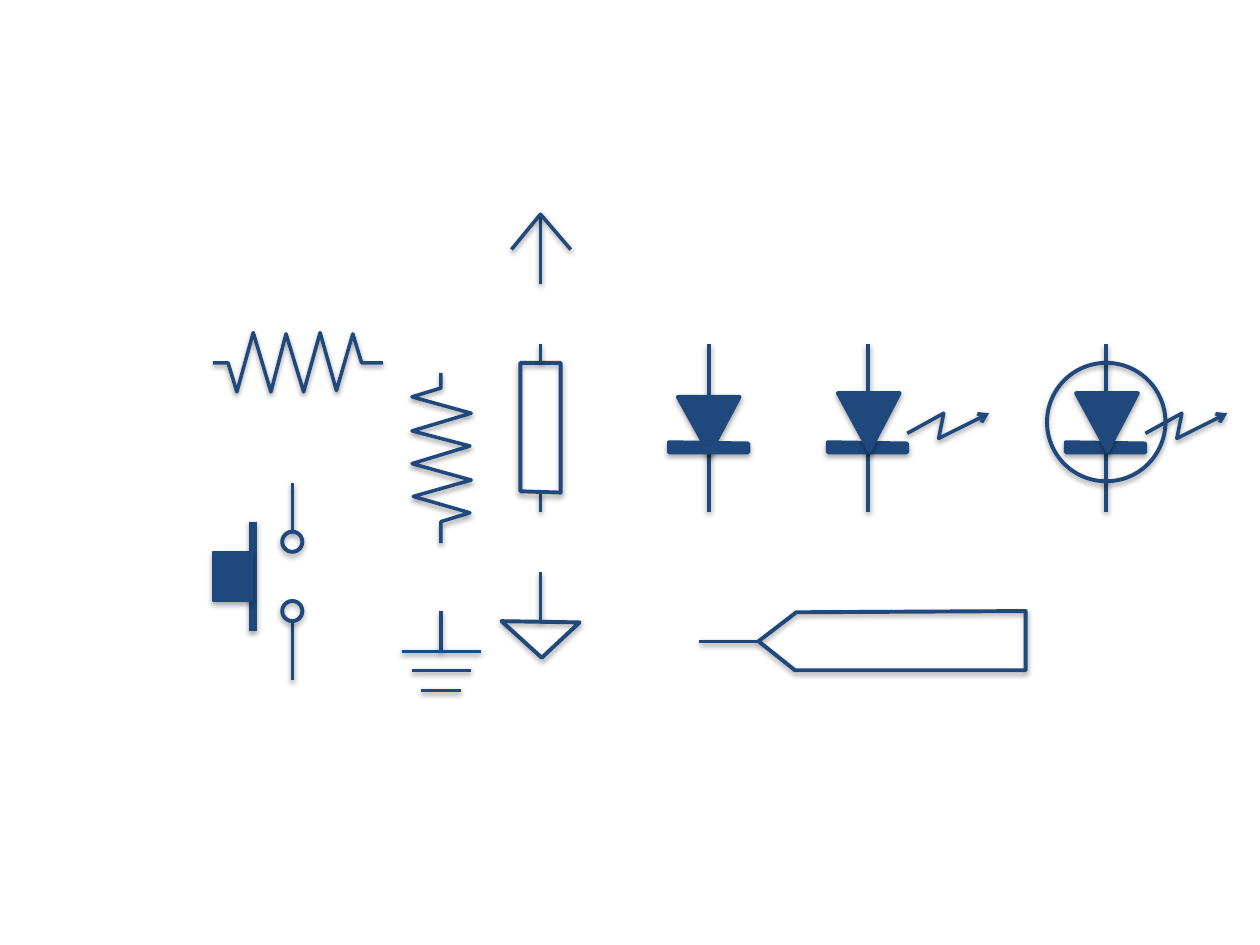
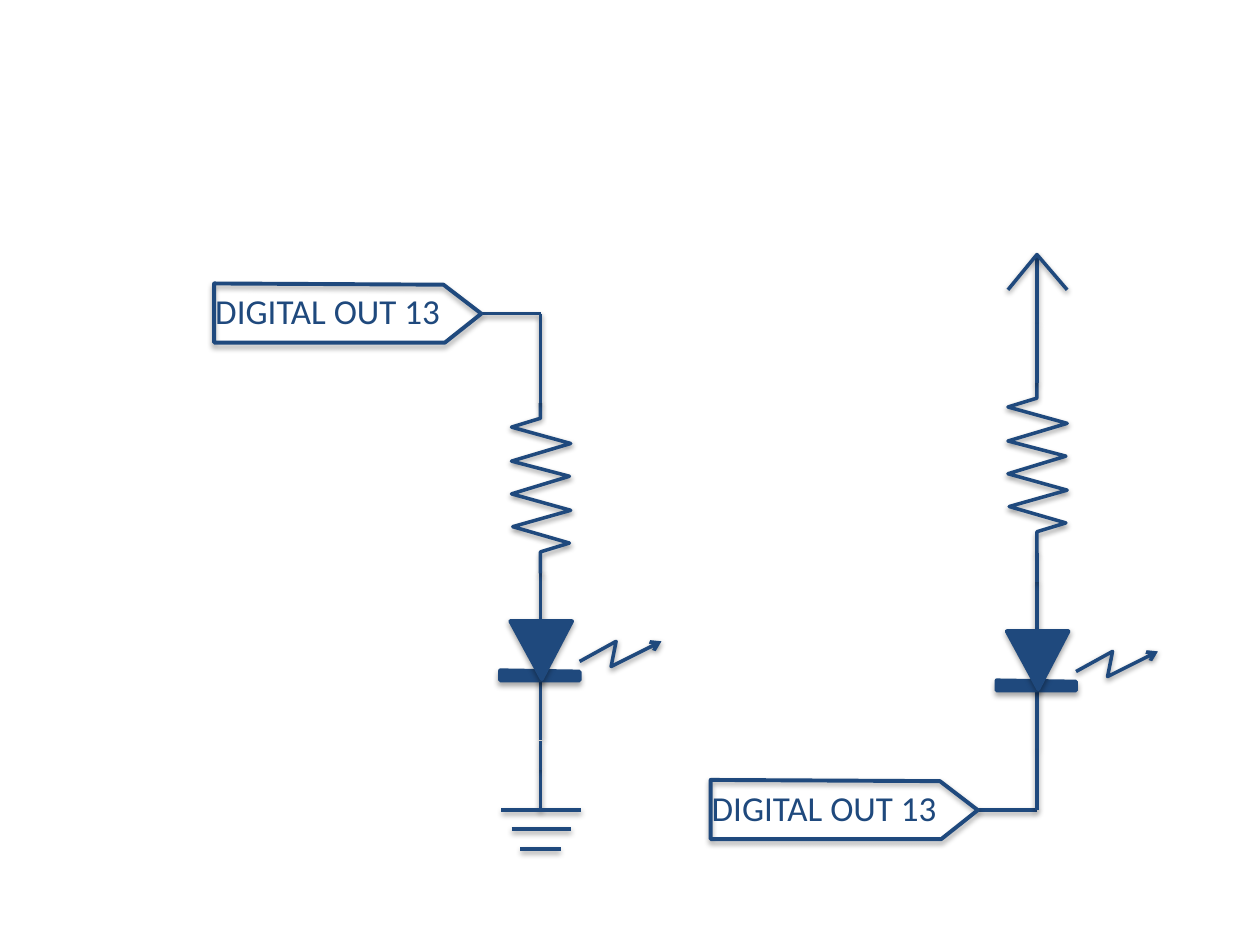
from dataclasses import dataclass
from lxml import etree
from pptx import Presentation
from pptx.dml.color import RGBColor
from pptx.enum.shapes import MSO_CONNECTOR, MSO_SHAPE
from pptx.enum.text import MSO_AUTO_SIZE
from pptx.oxml.ns import qn
from pptx.util import Pt

STRAIGHT = MSO_CONNECTOR.STRAIGHT
RECTANGLE = MSO_SHAPE.RECTANGLE
OVAL = MSO_SHAPE.OVAL
GROW = MSO_AUTO_SIZE.SHAPE_TO_FIT_TEXT
PX = 9144
PAGE_SIZE = (1000, 750)
BLANK_LAYOUT = 6


@dataclass(frozen=True)
class Theme:
    ink: str = "1F497D"
    shade: str = "000000"
    font: str = "Calibri"
    label_size: int = 20
    blur: int = 40000
    wire_shadow: tuple = (20000, 38000)
    body_shadow: tuple = (23000, 35000)


THEME = Theme()

STYLES = {
    "wire": (2, False, THEME.wire_shadow),
    "stem": (2.25, False, THEME.wire_shadow),
    "plunger": (4.5, False, THEME.wire_shadow),
    "ray": (2, False, THEME.wire_shadow),
    "outline": (2.25, False, THEME.body_shadow),
    "solid": (2.25, True, THEME.body_shadow),
    "ring": (2.25, False, THEME.body_shadow),
    "button": (0.75, True, THEME.body_shadow),
}
CLOSED = ("outline", "solid")
PRESETS = {"ring": OVAL, "button": RECTANGLE}

DIODE_STEM = ("stem", [(0, 0), (0, 133)])
DIODE_BAR = ("solid", [(-32, 78), (31, 79), (31, 86), (-32, 86)])
LED = [
    DIODE_STEM,
    DIODE_BAR,
    ("ray", [(31, 71), (60, 55), (56, 75), (96, 55)]),
    ("solid", [(-24, 39), (25, 39), (1, 85)]),
]

SYMBOLS = {
    "resistor": [("wire", [
        (0, 0), (0, 12), (-23, 19), (24, 32), (-23, 46), (23, 58),
        (-23, 72), (24, 85), (-22, 98), (23, 111), (0, 118), (0, 135)])],
    "box resistor": [
        ("wire", [(0, 118), (0, 133)]),
        ("outline", [(-16, 15), (-16, 117), (16, 118), (16, 15)]),
        ("wire", [(0, 0), (0, 15)]),
    ],
    "diode": [
        DIODE_STEM,
        ("solid", [(-25, 42), (24, 42), (0, 87)]),
        DIODE_BAR,
    ],
    "led": LED,
    "ringed led": LED + [("ring", [(-47, 15), (47, 109)])],
    "earth": [
        ("wire", [(0, 0), (0, 32)]),
        ("wire", [(-31, 32), (32, 32)]),
        ("wire", [(-23, 47), (24, 47)]),
        ("wire", [(-16, 63), (16, 63)]),
    ],
    "common": [
        ("wire", [(0, 0), (0, 39)]),
        ("outline", [(-31, 39), (31, 40), (1, 68)]),
    ],
    "supply": [
        ("wire", [(0, 0), (0, 55)]),
        ("wire", [(-23, 28), (0, 0), (24, 28)]),
    ],
    "tag": [
        ("wire", [(-47, 0), (0, 0)]),
        ("outline", [(212, 23), (212, -24), (30, -23), (0, 0), (29, 23)]),
    ],
    "switch": [
        ("wire", [(0, 110), (0, 157)]),
        ("wire", [(0, 0), (0, 39)]),
        ("plunger", [(-31, 31), (-31, 118)]),
        ("button", [(-63, 55), (-32, 94)]),
        ("ring", [(-8, 39), (8, 55)]),
        ("ring", [(-8, 94), (8, 110)]),
    ],
}

TAG_TEXT = "DIGITAL OUT 13"
TAG_TEXT_BOX = (-221, -24, 202, 44)

LIBRARY = [
    ("resistor", 350, 296, "upright"),
    ("box resistor", 429, 273, "upright"),
    ("diode", 563, 273, "upright"),
    ("led", 689, 273, "upright"),
    ("ringed led", 878, 273, "upright"),
    ("earth", 350, 485, "upright"),
    ("common", 429, 454, "upright"),
    ("supply", 429, 170, "upright"),
    ("tag", 602, 509, "upright"),
    ("switch", 232, 383, "upright"),
    ("resistor", 169, 288, "sideways"),
]

CIRCUITS = [
    {
        "parts": [
            ("led", 429, 454, "upright"),
            ("tag", 382, 249, "mirrored"),
            ("resistor", 429, 320, "upright"),
            ("earth", 429, 611, "upright"),
        ],
        "wires": [[(429, 249), (429, 320)], [(429, 588), (429, 611)]],
        "label": (382, 249),
    },
    {
        "parts": [
            ("led", 823, 462, "upright"),
            ("tag", 776, 643, "mirrored"),
            ("resistor", 823, 304, "upright"),
            ("supply", 823, 202, "upright"),
        ],
        "wires": [
            [(823, 257), (823, 304)],
            [(823, 439), (823, 462)],
            [(823, 595), (823, 643)],
        ],
        "label": (776, 643),
    },
]

POSES = {
    "upright": lambda x, y: (x, y),
    "mirrored": lambda x, y: (-x, y),
    "sideways": lambda x, y: (y, -x),
}


def add_shadow(shape, distance, alpha):
    properties = shape._element.spPr
    effects = properties.find(qn("a:effectLst"))
    if effects is None:
        effects = etree.SubElement(properties, qn("a:effectLst"))
    shadow = etree.SubElement(effects, qn("a:outerShdw"), {
        "blurRad": str(THEME.blur), "dist": str(distance),
        "dir": "5400000", "rotWithShape": "0"})
    color = etree.SubElement(shadow, qn("a:srgbClr"), val=THEME.shade)
    etree.SubElement(color, qn("a:alpha"), val=str(alpha))


def make_shape(canvas, kind, points):
    if kind in PRESETS:
        (left, top), (right, bottom) = points
        return canvas.add_shape(PRESETS[kind], left * PX, top * PX,
                                (right - left) * PX, (bottom - top) * PX)
    if len(points) == 2:
        ends = [length * PX for point in points for length in point]
        return canvas.add_connector(STRAIGHT, *ends)
    outline = canvas.build_freeform(*points[0], scale=PX)
    outline.add_line_segments(points[1:], close=kind in CLOSED)
    return outline.convert_to_shape()


def draw(canvas, kind, points):
    weight, filled, shadow = STYLES[kind]
    shape = make_shape(canvas, kind, points)
    ink = RGBColor.from_string(THEME.ink)
    if hasattr(shape, "fill"):
        if filled:
            shape.fill.solid()
            shape.fill.fore_color.rgb = ink
        else:
            shape.fill.background()
    shape.line.color.rgb = ink
    shape.line.width = Pt(weight)
    if kind == "ray":
        line = shape._element.spPr.find(qn("a:ln"))
        etree.SubElement(line, qn("a:tailEnd"), type="arrow")
    add_shadow(shape, *shadow)


def place(canvas, symbol, x, y, pose):
    for kind, points in SYMBOLS[symbol]:
        turned = [POSES[pose](*point) for point in points]
        draw(canvas, kind, [(x + dx, y + dy) for dx, dy in turned])


def add_label(canvas, x, y):
    left, top, width, height = TAG_TEXT_BOX
    box = canvas.add_textbox((x + left) * PX, (y + top) * PX, width * PX, height * PX)
    box.text_frame.word_wrap = False
    box.text_frame.auto_size = GROW
    span = box.text_frame.paragraphs[0].add_run()
    span.text = TAG_TEXT
    span.font.name = THEME.font
    span.font.size = Pt(THEME.label_size)
    span.font.color.rgb = RGBColor.from_string(THEME.ink)


def add_page(deck):
    return deck.slides.add_slide(deck.slide_layouts[BLANK_LAYOUT])


def main():
    deck = Presentation()
    deck.slide_width, deck.slide_height = (side * PX for side in PAGE_SIZE)

    page = add_page(deck)
    for part in LIBRARY:
        single = len(SYMBOLS[part[0]]) == 1
        canvas = page.shapes if single else page.shapes.add_group_shape().shapes
        place(canvas, *part)

    page = add_page(deck)
    for circuit in CIRCUITS:
        canvas = page.shapes.add_group_shape().shapes
        for part in circuit["parts"]:
            place(canvas, *part)
        for points in circuit["wires"]:
            draw(canvas, "wire", points)
        add_label(canvas, *circuit["label"])

    deck.save("out.pptx")


if __name__ == "__main__":
    main()
